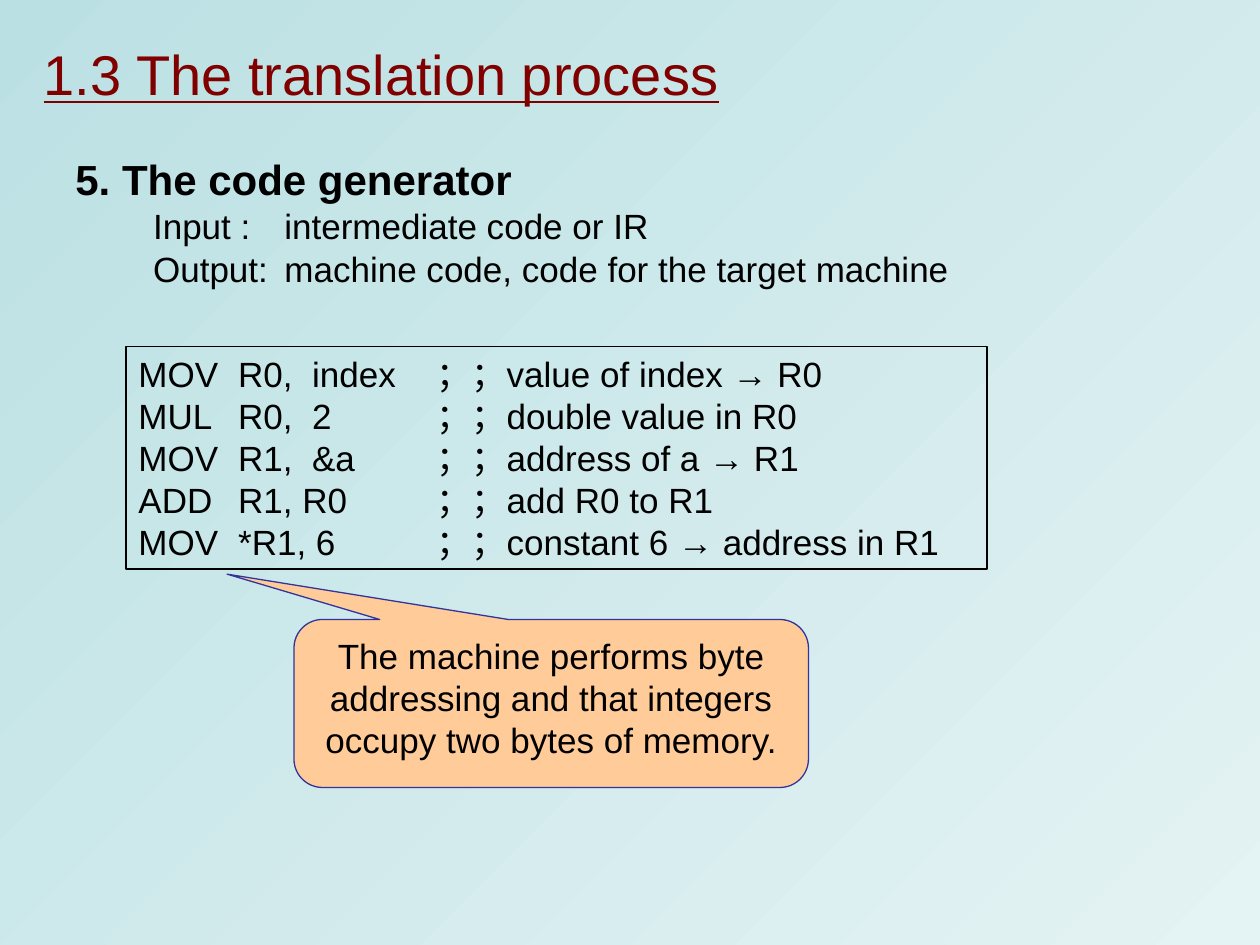
from lxml.etree import SubElement
from pptx import Presentation
from pptx.dml.color import RGBColor
from pptx.enum.shapes import MSO_SHAPE as SHAPE
from pptx.enum.text import MSO_ANCHOR as ANCHOR, PP_ALIGN as ALIGN
from pptx.oxml.ns import qn
from pptx.util import Pt

PX = 7620  # 120 px to the inch


def rgb(value):
    return RGBColor.from_string(value)


def style(p, size, color="000000", bold=False, underline=False):
    for r in p.runs:
        r.font.name = "Arial"
        r.font.size = Pt(size)
        r.font.bold = bold
        r.font.underline = underline
        r.font.color.rgb = rgb(color)


prs = Presentation()
prs.slide_width, prs.slide_height = 1200 * PX, 900 * PX
s = prs.slides.add_slide(prs.slide_layouts[6])

bg = s.background.fill
bg.gradient()
bg.gradient_angle = 315
for stop, color in zip(bg.gradient_stops, ("BBE0E3", "E4F3F4")):
    stop.color.rgb = rgb(color)

# Title
tf = s.shapes.add_textbox(30 * PX, 30 * PX, 1090 * PX, 80 * PX).text_frame
tf.word_wrap = True
tf.vertical_anchor = ANCHOR.MIDDLE
tf.text = "1.3 The translation process"
style(tf.paragraphs[0], 32, "800000", underline=True)

# Heading with input and output
tf = s.shapes.add_textbox(60 * PX, 150 * PX, 1050 * PX, 140 * PX).text_frame
tf.word_wrap = True
tf.text = ("5. The code generator\n"
           "Input :\tintermediate code or IR\n"
           "Output:\tmachine code, code for the target machine")
heading, *details = tf.paragraphs
style(heading, 24, bold=True)
for p in tf.paragraphs:
    p.alignment = ALIGN.JUSTIFY
    p.line_spacing = 0.8
for p in details:
    p.space_before = Pt(5)
    # The tab runs to the hanging margin
    pPr = p._p.get_or_add_pPr()
    pPr.set("marL", str(199 * PX))
    pPr.set("indent", str(-125 * PX))
    style(p, 20)

# Target code
code = [
    ("MOV", "R0,  index", "value of index → R0"),
    ("MUL", "R0,  2", "double value in R0"),
    ("MOV", "R1,  &a", "address of a → R1"),
    ("ADD", "R1, R0", "add R0 to R1"),
    ("MOV", "*R1, 6", "constant 6 → address in R1"),
]
box = s.shapes.add_shape(SHAPE.RECTANGLE, 120 * PX, 330 * PX, 820 * PX, 212 * PX)
box.shadow.inherit = False
box.fill.background()
box.line.color.rgb = rgb("000000")
box.line.width = Pt(0.75)
tf = box.text_frame
tf.word_wrap = True
tf.text = "\n".join(f"{op}\t{args}\t；；{note}" for op, args, note in code)
for p in tf.paragraphs:
    p.alignment = ALIGN.LEFT
    tabs = SubElement(p._p.get_or_add_pPr(), qn("a:tabLst"))
    for x in (95, 284):
        SubElement(tabs, qn("a:tab"), pos=str(x * PX), algn="l")
    style(p, 20)

# Remark on the code
callout = s.shapes.add_shape(SHAPE.ROUNDED_RECTANGULAR_CALLOUT,
                             280 * PX, 590 * PX, 490 * PX, 160 * PX)
callout.shadow.inherit = False
for i, value in enumerate((-0.63, -0.77, 0.17)):
    callout.adjustments[i] = value
callout.fill.solid()
callout.fill.fore_color.rgb = rgb("FFCC99")
callout.line.color.rgb = rgb("333399")
callout.line.width = Pt(0.75)
tf = callout.text_frame
tf.word_wrap = True
tf.vertical_anchor = ANCHOR.TOP
tf.text = ("The machine performs byte addressing and that integers "
           "occupy two bytes of memory.")
tf.paragraphs[0].alignment = ALIGN.CENTER
style(tf.paragraphs[0], 20)

prs.save("out.pptx")
